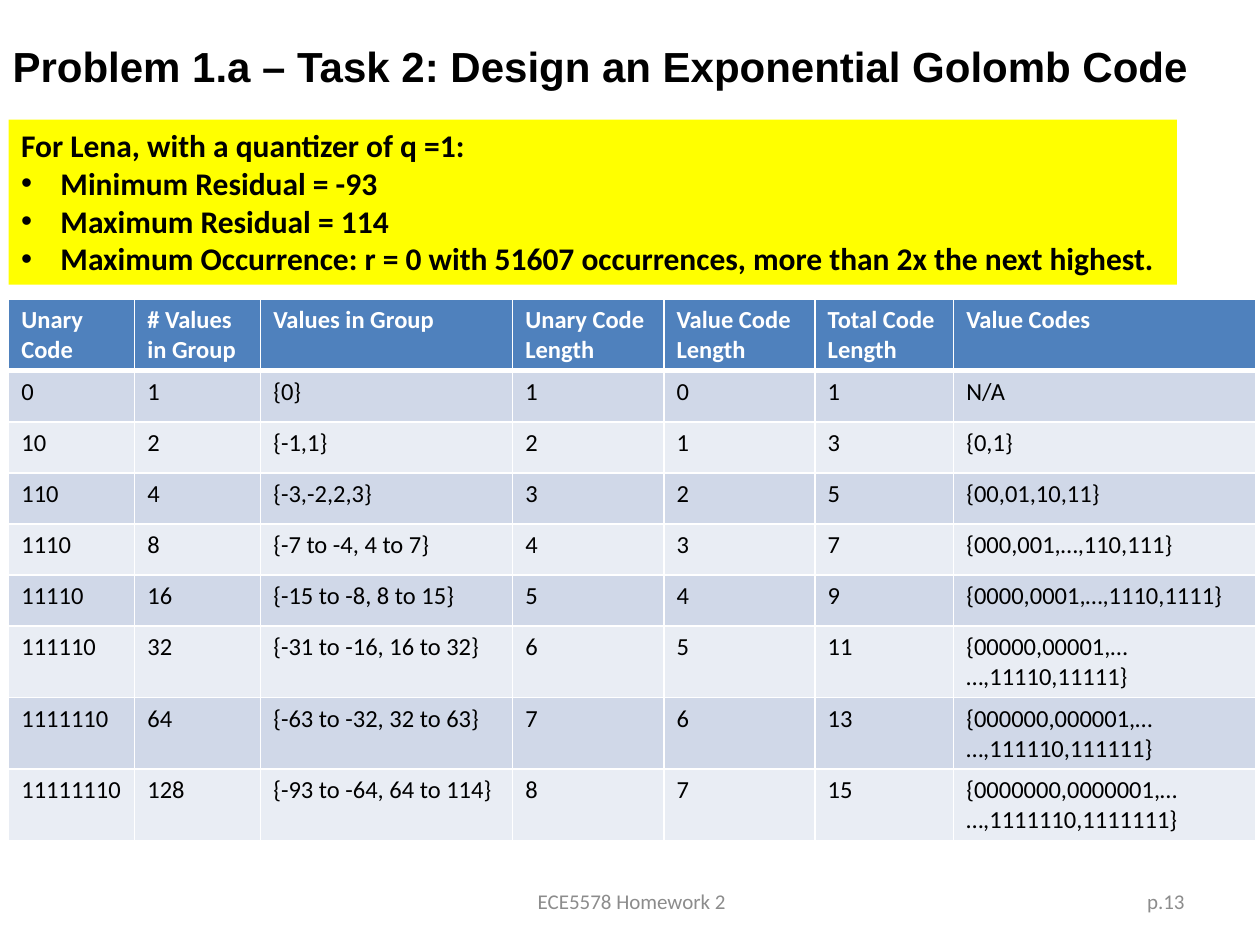
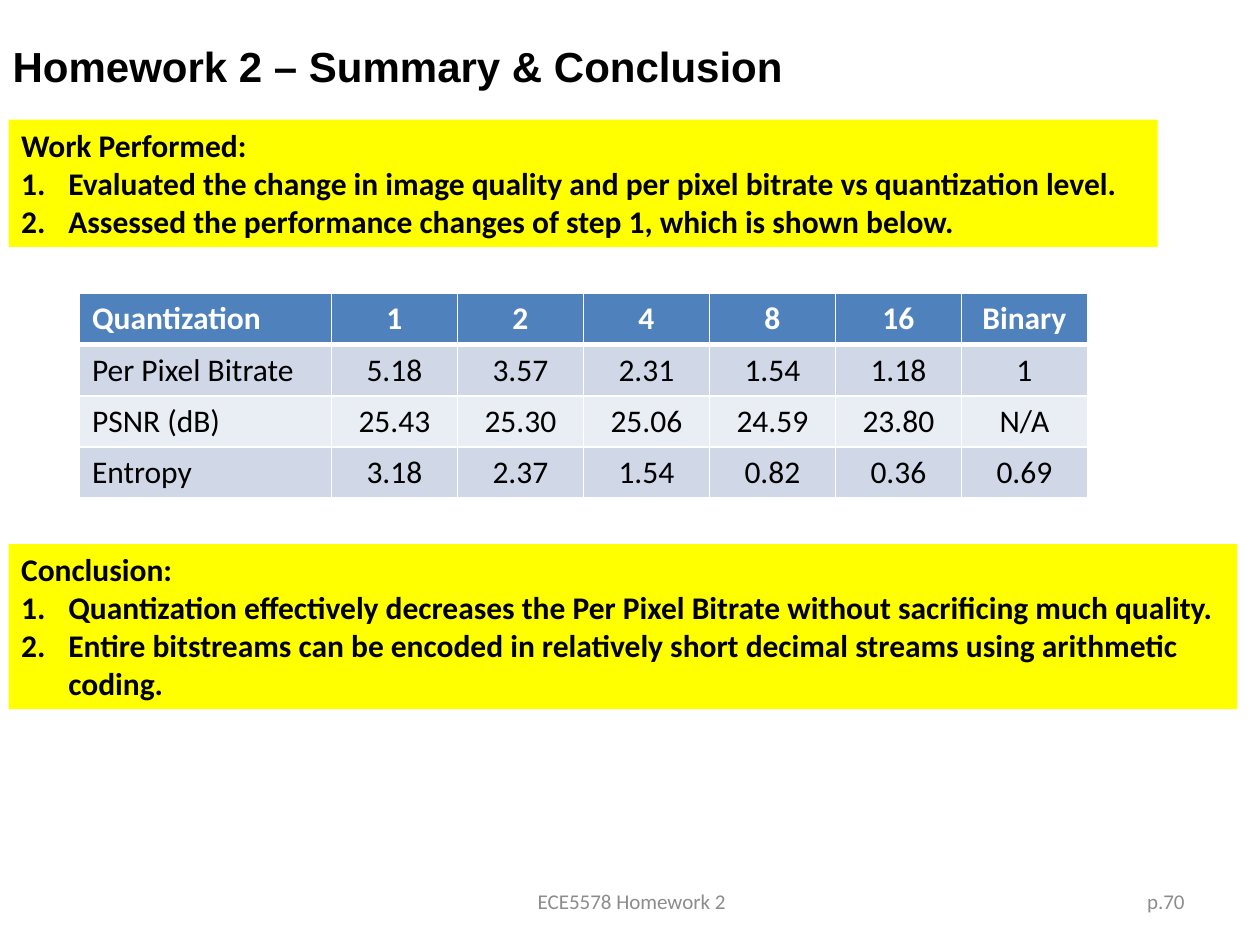
from pptx import Presentation
from pptx.dml.color import RGBColor
from pptx.enum.text import MSO_ANCHOR as Anchor, MSO_AUTO_SIZE as AutoSize, PP_ALIGN as Align
from pptx.oxml import parse_xml
from pptx.oxml.ns import nsdecls
from pptx.util import Pt

BLACK = RGBColor(0x00, 0x00, 0x00)
WHITE = RGBColor(0xFF, 0xFF, 0xFF)
GRAY = RGBColor(0x8C, 0x8C, 0x8C)
YELLOW = RGBColor(0xFF, 0xFF, 0x00)
HEADER_BLUE = RGBColor(0x4F, 0x81, 0xBD)
BANDS = (RGBColor(0xE9, 0xED, 0xF4), RGBColor(0xD0, 0xD8, 0xE8))

TITLE_FONT, BODY_FONT = "Arial", "Calibri"
MARGIN = 5
ROW_HEIGHT = 29.2
BULLET = ('<a:buFont {} typeface="Arial"/>', '<a:buChar {} char="•"/>')
NUMBER = ('<a:buFont {} typeface="+mj-lt"/>', '<a:buAutoNum {} type="arabicPeriod"/>')


class HomeworkDeck:
    """Holds the shared style and the slide being filled."""

    def __init__(self):
        self.deck = Presentation()
        self.deck.slide_width, self.deck.slide_height = Pt(720), Pt(540)
        self.page = None

    def format_runs(self, para, size, color, bold=False, font=BODY_FONT):
        for span in para.runs:
            span.font.name, span.font.size = font, Pt(size)
            span.font.bold, span.font.color.rgb = bold, color

    def new_page(self, title, number):
        self.page = self.deck.slides.add_slide(self.deck.slide_layouts[5])
        box = self.page.shapes.title
        box.left, box.top, box.width, box.height = Pt(0), Pt(7.2), Pt(720), Pt(60.5)
        frame = box.text_frame
        frame.text = title
        frame.vertical_anchor = Anchor.MIDDLE
        frame.paragraphs[0].alignment = Align.LEFT
        self.format_runs(frame.paragraphs[0], 24, BLACK, True, TITLE_FONT)
        self.footer(516, 168, number, Align.RIGHT)
        self.footer(247, 228, "ECE5578 Homework 2", Align.CENTER)

    def footer(self, left, width, text, align):
        box = self.page.shapes.add_textbox(Pt(left), Pt(500.5), Pt(width), Pt(28.8))
        frame = box.text_frame
        frame.word_wrap = True
        frame.vertical_anchor = Anchor.MIDDLE
        frame.text = text
        frame.paragraphs[0].alignment = align
        self.format_runs(frame.paragraphs[0], 12, GRAY)

    def callout(self, top, width, height, heading, items, marker, indent, tail=None):
        """Yellow box: a heading, marked items and an optional indented last line."""
        box = self.page.shapes.add_textbox(Pt(MARGIN), Pt(top), Pt(width), Pt(height))
        box.fill.solid()
        box.fill.fore_color.rgb = YELLOW
        frame = box.text_frame
        frame.word_wrap = False
        frame.auto_size = AutoSize.SHAPE_TO_FIT_TEXT
        frame.text = "\n".join([heading, *items, *([tail] if tail else [])])
        for index, para in enumerate(frame.paragraphs):
            if index > 0:
                props = para._p.get_or_add_pPr()
                props.set("marL", str(Pt(indent)))
                if index <= len(items):
                    props.set("indent", str(-Pt(indent)))
                    for tag in marker:
                        props.append(parse_xml(tag.format(nsdecls("a"))))
                else:
                    props.set("indent", "0")
            self.format_runs(para, 18, BLACK, True)

    def borders(self, cell, top, bottom):
        props = cell._tc.get_or_add_tcPr()
        for side, width in (("L", 1), ("R", 1), ("T", top), ("B", bottom)):
            props.append(parse_xml(
                f'<a:ln{side} {nsdecls("a")} w="{Pt(width)}"><a:solidFill>'
                f'<a:srgbClr val="{WHITE}"/></a:solidFill></a:ln{side}>'))

    def table(self, left, top, widths, rows, size, center_from):
        """Banded table; columns from center_from on are centred."""
        frame = self.page.shapes.add_table(
            len(rows), len(widths), Pt(left), Pt(top),
            Pt(sum(widths)), Pt(ROW_HEIGHT * len(rows)))
        grid = frame.table
        for column, width in zip(grid.columns, widths):
            column.width = Pt(width)
        for r, values in enumerate(rows):
            grid.rows[r].height = Pt(ROW_HEIGHT)
            header = r == 0
            for c, value in enumerate(values):
                cell = grid.cell(r, c)
                self.borders(cell, 3 if r == 1 else 1, 3 if header else 1)
                cell.fill.solid()
                cell.fill.fore_color.rgb = HEADER_BLUE if header else BANDS[r % 2]
                cell.text_frame.text = str(value)
                for para in cell.text_frame.paragraphs:
                    para.alignment = Align.CENTER if c >= center_from else Align.LEFT
                    self.format_runs(para, size, WHITE if header else BLACK, header)


def golomb_rows():
    """Group k has a unary prefix of k ones, 2^k values and k value bits."""
    groups = [
        ("{0}", "N/A"),
        ("{-1,1}", "{0,1}"),
        ("{-3,-2,2,3}", "{00,01,10,11}"),
        ("{-7 to -4, 4 to 7}", "{000,001,…,110,111}"),
        ("{-15 to -8, 8 to 15}", "{0000,0001,…,1110,1111}"),
        ("{-31 to -16, 16 to 32}", "{00000,00001,…\n…,11110,11111}"),
        ("{-63 to -32, 32 to 63}", "{000000,000001,…\n…,111110,111111}"),
        ("{-93 to -64, 64 to 114}", "{0000000,0000001,…\n…,1111110,1111111}"),
    ]
    header = ["Unary Code", "# Values in Group", "Values in Group", "Unary Code Length",
              "Value Code Length", "Total Code Length", "Value Codes"]
    return [header] + [["1" * k + "0", 2 ** k, values, k + 1, k, 2 * k + 1, codes]
                       for k, (values, codes) in enumerate(groups)]


def main():
    homework = HomeworkDeck()

    # Exponential Golomb code design
    homework.new_page("Problem 1.a – Task 2: Design an Exponential Golomb Code", "p.13")
    homework.callout(
        68.4, 667.5, 94.3, "For Lena, with a quantizer of q =1:",
        ["Minimum Residual = -93", "Maximum Residual = 114",
         "Maximum Occurrence: r = 0 with 51607 occurrences, more than 2x the next highest."],
        BULLET, 22.5)
    homework.table(MARGIN, 171, [72, 72, 144, 86.4, 86.4, 79.2, 172.8],
                   golomb_rows(), 14, center_from=7)

    # Summary and conclusion
    homework.new_page("Homework 2 – Summary & Conclusion", "p.70")
    homework.callout(
        68.4, 656.5, 72.7, "Work Performed:",
        ["Evaluated the change in image quality and per pixel bitrate vs quantization level.",
         "Assessed the performance changes of step 1, which is shown below."],
        NUMBER, 27)
    results = [
        ["Quantization", "1", "2", "4", "8", "16", "Binary"],
        ["Per Pixel Bitrate", "5.18", "3.57", "2.31", "1.54", "1.18", "1"],
        ["PSNR (dB)", "25.43", "25.30", "25.06", "24.59", "23.80", "N/A"],
        ["Entropy", "3.18", "2.37", "1.54", "0.82", "0.36", "0.69"],
    ]
    homework.table(45.4, 167.8, [144] + [72] * 6, results, 18, center_from=1)
    homework.callout(
        311, 702, 94.3, "Conclusion:",
        ["Quantization effectively decreases the Per Pixel Bitrate without sacrificing much quality.",
         "Entire bitstreams can be encoded in relatively short decimal streams using arithmetic"],
        NUMBER, 27, tail="coding.")

    homework.deck.save("out.pptx")


if __name__ == "__main__":
    main()
